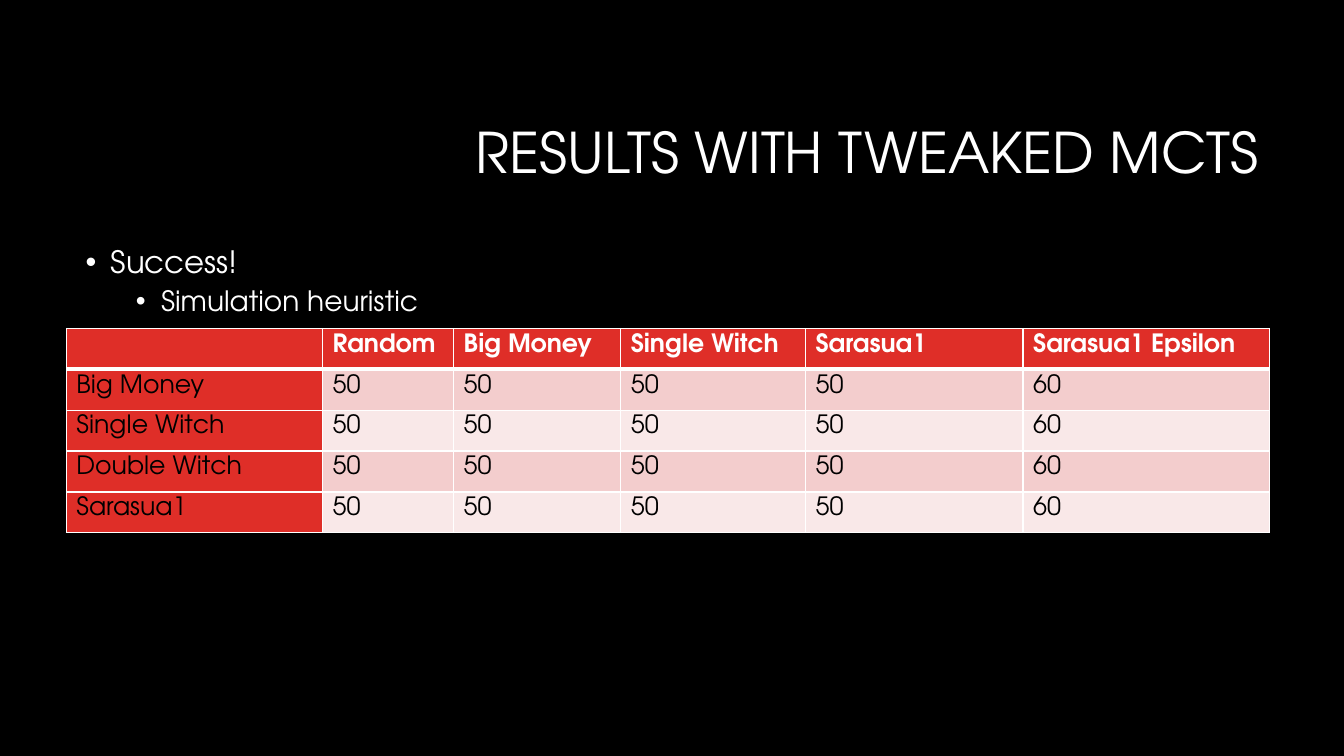
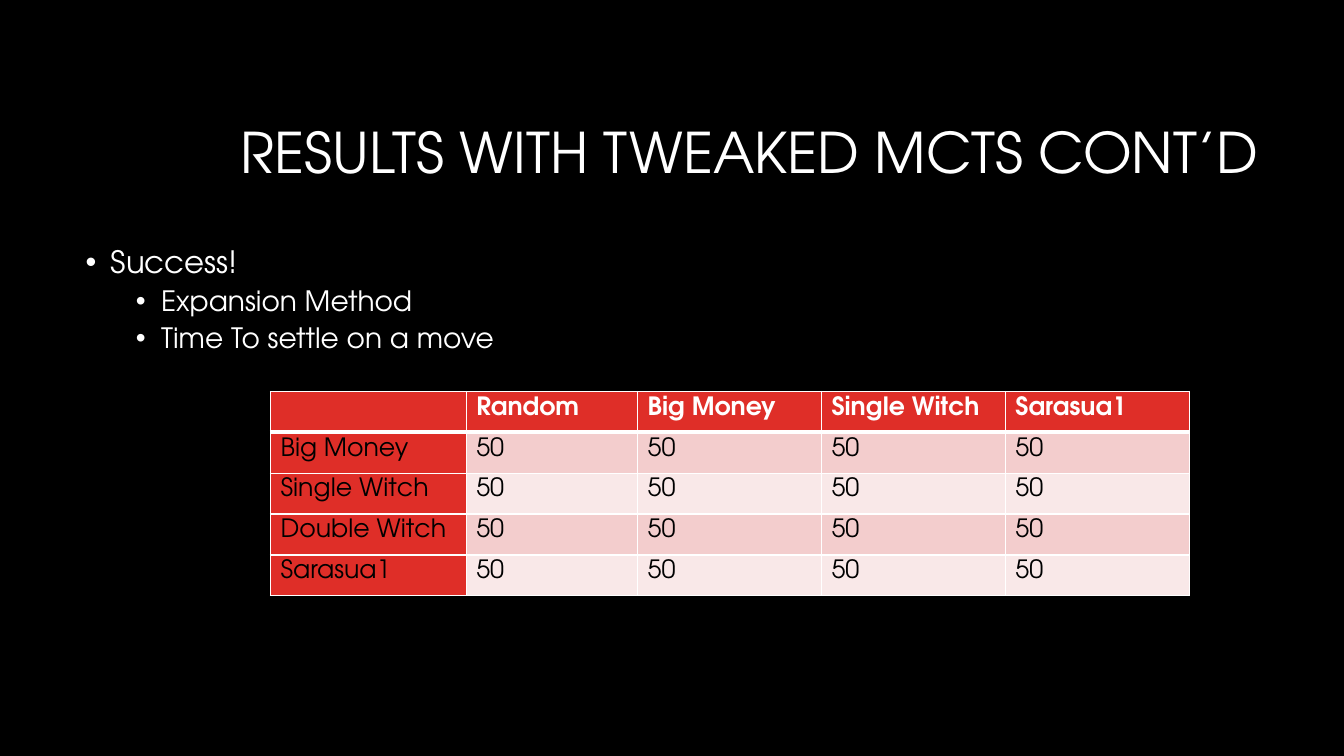
from dataclasses import dataclass

from lxml.etree import SubElement
from pptx import Presentation
from pptx.dml.color import RGBColor as Color
from pptx.enum.text import MSO_ANCHOR as Anchor, PP_ALIGN as Align
from pptx.oxml.ns import qn
from pptx.util import Inches, Pt


@dataclass(frozen=True)
class Theme:
    font: str = "TeX Gyre Adventor"
    background: str = "000000"
    light: str = "FFFFFF"
    dark: str = "000000"
    accent: str = "DF2E28"
    bands: tuple = ("F3CDCD", "F9E8E8")
    title_size: int = 40
    bullet_sizes: tuple = (22, 20)
    bullet_spaces: tuple = (10, 5)
    bullet_indents: tuple = (0.25, 0.75)
    table_size: int = 18
    thin: int = 1
    thick: int = 3


COLUMNS, ROWS = 160, 90
TABLE_ROW = 4.87
STRATEGIES = ["Big Money", "Single Witch", "Double Witch", "Sarasua1"]
OPPONENTS = ["Random", "Big Money", "Single Witch", "Sarasua1"]


def write(para, text, *, size, color, font, bold=False, align=None, spacing=None, before=None):
    para.alignment = align
    para.line_spacing = spacing
    if before is not None:
        para.space_before = Pt(before)
    span = para.add_run()
    span.text = text
    span.font.size = Pt(size)
    span.font.name = font
    span.font.bold = bold
    span.font.color.rgb = Color.from_string(color)


def add_bullet(para, indent):
    properties = para._p.get_or_add_pPr()
    properties.set("marL", str(Inches(indent)))
    properties.set("indent", str(Inches(-0.25)))
    SubElement(properties, qn("a:buFont"), typeface="Arial")
    SubElement(properties, qn("a:buChar"), char="•")


def add_border(cell, side, width, color):
    line = SubElement(cell._tc.get_or_add_tcPr(), qn(f"a:ln{side}"), w=str(Pt(width)))
    SubElement(SubElement(line, qn("a:solidFill")), qn("a:srgbClr"), val=color)


class Slides:
    def __init__(self, theme):
        self.theme = theme
        self.deck = Presentation()
        self.deck.slide_width, self.deck.slide_height = Inches(13.33), Inches(7.5)
        fill = self.deck.slide_master.background.fill
        fill.solid()
        fill.fore_color.rgb = Color.from_string(theme.background)
        self.page = None

    def across(self, columns):
        return round(self.deck.slide_width * columns / COLUMNS)

    def down(self, rows):
        return round(self.deck.slide_height * rows / ROWS)

    def area(self, left, top, width, height):
        return self.across(left), self.down(top), self.across(width), self.down(height)

    def new_page(self):
        self.page = self.deck.slides.add_slide(self.deck.slide_layouts[6])

    def text_frame(self, left, top, width, height, anchor=Anchor.TOP):
        frame = self.page.shapes.add_textbox(*self.area(left, top, width, height)).text_frame
        frame.word_wrap = True
        frame.vertical_anchor = anchor
        return frame

    def title(self, text, left):
        frame = self.text_frame(left, 10.1, 151 - left, 16.9, Anchor.MIDDLE)
        write(frame.paragraphs[0], text, size=self.theme.title_size, color=self.theme.light,
              font=self.theme.font, align=Align.RIGHT, spacing=0.9)

    def bullets(self, heading, details):
        frame = self.text_frame(9, 28.8, 142, 52.8)
        for index, text in enumerate([heading, *details]):
            level = min(index, 1)
            para = frame.add_paragraph() if index else frame.paragraphs[0]
            para.level = level
            write(para, text, size=self.theme.bullet_sizes[level], color=self.theme.light,
                  font=self.theme.font, spacing=0.9, before=self.theme.bullet_spaces[level])
            add_bullet(para, self.theme.bullet_indents[level])

    def table(self, left, top, widths, records):
        box = self.page.shapes.add_table(
            len(records), len(widths),
            *self.area(left, top, sum(widths), TABLE_ROW * len(records)))
        table = box.table
        table.first_row = table.horz_banding = False
        for column, width in zip(table.columns, widths):
            column.width = self.across(width)
        for row, record in enumerate(records):
            table.rows[row].height = self.down(TABLE_ROW)
            for column, text in enumerate(record):
                self.cell(table.cell(row, column), row, column, text)

    def cell(self, cell, row, column, text):
        theme = self.theme
        is_header = row == 0
        heavy_side = {0: "B", 1: "T"}.get(row)
        for side in "LRTB":
            add_border(cell, side, theme.thick if side == heavy_side else theme.thin, theme.light)
        fill = theme.accent if is_header or column == 0 else theme.bands[(row - 1) % 2]
        cell.fill.solid()
        cell.fill.fore_color.rgb = Color.from_string(fill)
        if text:
            write(cell.text_frame.paragraphs[0], text, size=theme.table_size, font=theme.font,
                  color=theme.light if is_header else theme.dark, bold=is_header)


def results(opponents, scores):
    return [["", *opponents]] + [[name, *scores] for name in STRATEGIES]


def main():
    slides = Slides(Theme())
    scores = ["50"] * len(OPPONENTS)

    slides.new_page()
    slides.title("RESULTS WITH TWEAKED MCTS", 38)
    slides.bullets("Success!", ["Simulation heuristic"])
    slides.table(7.9, 39.1, [30.5, 15.6, 19.9, 22, 25.9, 29.3],
                 results([*OPPONENTS, "Sarasua1 Epsilon"], [*scores, "60"]))

    slides.new_page()
    slides.title("RESULTS WITH TWEAKED MCTS CONT’D", 23)
    slides.bullets("Success!", ["Expansion Method", "Time To settle on a move"])
    slides.table(32.2, 46.6, [23.3, 20.4, 21.9, 21.9, 21.9], results(OPPONENTS, scores))

    slides.deck.save("out.pptx")


if __name__ == "__main__":
    main()
